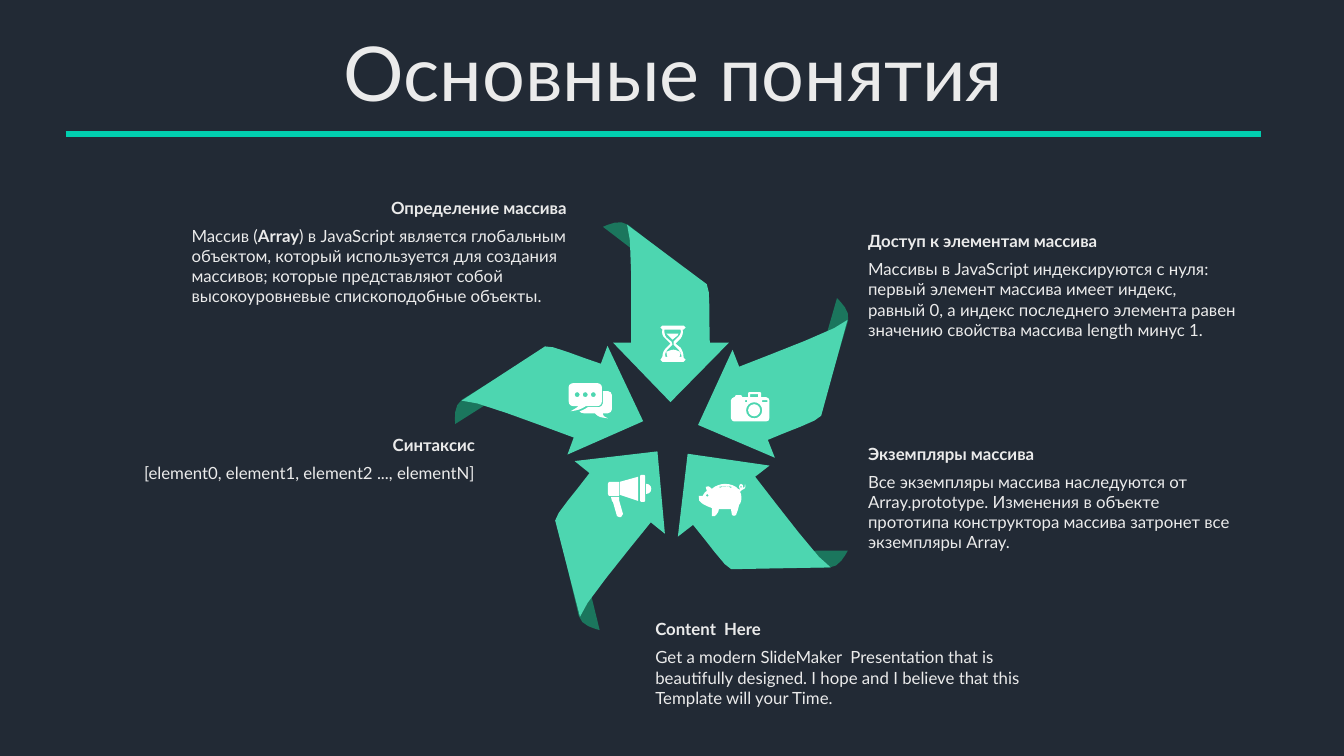
from dataclasses import dataclass
from math import ceil, dist

from lxml import etree
from pptx import Presentation
from pptx.dml.color import RGBColor
from pptx.enum.shapes import MSO_CONNECTOR
from pptx.enum.text import MSO_ANCHOR, MSO_AUTO_SIZE, PP_ALIGN
from pptx.oxml.ns import qn
from pptx.util import Pt

PX = 9144  # 100 px to the inch


@dataclass(frozen=True)
class Theme:
    font: str = "Lato"
    back: str = "222A35"
    text: str = "EBEBEB"
    rule: str = "01CEAF"
    blade: str = "4DD6B0"
    fold: str = "1B765D"
    icon: str = "FFFFFF"
    title_size: int = 54
    body_size: int = 12


T = Theme()

# Outlines in px: M move, L line, C curve, Z close, O circle (left, top, diameter)
FOLD = "M 25 2 C 17 -4 5 2 0 4 L 81 66 L 102 62 Z"
BLADE = ("M 14 0 L 93 59 C 97 63 95 97 96 117 L 115 117 L 57 176 L 0 117 L 18 117 "
         "C 18 79 19 6 14 0 Z")
CHAT = ("O 22 9 5 O 14 9 5 O 6 9 5 "
        "M 34 8 L 39 8 C 41 8 43 10 43 12 L 43 26 C 43 28 41 30 39 30 L 34 30 "
        "C 34 32 34 33 39 35 C 31 34 30 34 26 30 L 15 30 C 13 30 11 29 11 28 "
        "C 14 27 16 26 19 24 L 30 24 C 32 24 34 22 34 20 Z "
        "M 5 0 L 28 0 C 31 0 33 2 33 4 L 33 18 C 33 21 31 23 28 23 L 17 23 "
        "C 12 26 10 27 2 28 C 7 25 7 25 10 23 L 5 23 C 2 23 0 21 0 18 L 0 4 "
        "C 0 2 2 0 5 0 Z")
HOURGLASS = ("M 13 24 C 15 24 17 25 19 26 C 20 27 20 29 19 31 L 7 31 "
             "C 6 29 6 27 6 26 C 9 25 11 24 13 24 Z "
             "M 6 8 L 18 8 L 17 10 L 12 14 L 8 10 Z "
             "M 4 4 C 4 7 4 10 6 12 L 11 16 L 12 19 L 7 24 C 5 26 4 29 5 31 L 21 31 "
             "C 21 29 20 26 18 24 L 13 19 L 13 16 L 18 11 C 20 9 21 6 20 4 Z "
             "M 2 0 L 23 0 L 25 2 L 23 4 L 22 4 C 23 7 22 10 20 13 L 15 18 L 20 22 "
             "C 22 25 23 28 23 32 L 25 34 L 23 36 L 2 36 L 0 34 L 2 31 "
             "C 2 28 3 25 5 23 L 10 18 L 5 13 C 2 11 1 7 2 4 L 0 2 Z")
MEGAPHONE = ("M 11 22 L 11 25 L 15 39 L 13 42 L 11 42 L 9 41 L 5 27 L 4 26 L 3 22 Z "
             "M 38 9 C 41 9 43 11 43 14 C 43 17 41 19 38 19 Z "
             "M 1 7 L 11 7 L 11 21 L 1 21 L 0 19 L 0 9 Z "
             "M 30 2 L 30 26 L 12 20 L 12 7 Z "
             "M 33 0 L 36 0 L 37 1 L 37 26 L 36 27 L 33 27 L 32 26 L 32 1 Z")
CAMERA = ("O 17 12 12 O 15 10 16 M 14 8 L 14 10 L 16 10 L 16 8 Z "
          "M 31 8 L 31 10 L 36 10 L 36 8 Z M 19 2 L 19 5 L 27 5 L 27 2 Z "
          "M 18 0 L 29 0 L 30 1 L 30 5 L 35 5 C 37 5 38 7 38 8 L 38 26 "
          "C 38 28 37 29 35 29 L 3 29 C 2 29 0 28 0 26 L 0 8 C 0 7 2 5 3 5 "
          "L 4 5 L 4 4 L 5 3 L 10 3 L 11 4 L 11 5 L 17 5 L 17 1 Z")
PIG = ("O 7 10 3 O 41 2 2 "
       "M 26 2 L 20 3 L 21 4 C 24 2 29 2 32 4 L 33 3 Z "
       "M 26 0 C 31 0 37 2 39 5 L 41 6 L 40 3 "
       "C 40 1 41 0 42 0 C 44 0 44 2 44 3 L 44 4 C 45 4 46 4 46 0 C 47 4 46 5 43 6 "
       "L 41 8 L 42 10 C 43 15 42 19 40 21 C 39 26 38 28 37 31 "
       "C 37 32 33 32 33 31 L 32 25 L 20 25 "
       "C 20 28 18 30 16 32 L 13 32 L 13 24 C 8 22 -2 19 0 12 "
       "L 4 12 C 5 10 6 8 8 7 L 7 3 C 11 1 11 4 13 5 C 16 2 22 0 26 0 Z")

# Places inside the pinwheel box: fold left, top; blade left, top; rotation
BLADES = [(153, 0, 163, 2, 0), (326, 100, 272, 81, 68.6), (287, 301, 233, 211, 142.2),
          (77, 317, 94, 207, 218.8), (0, 129, 53, 78, 290.2)]
ICONS = [(CHAT, 119, 159), (HOURGLASS, 210, 102), (MEGAPHONE, 158, 250),
         (CAMERA, 280, 168), (PIG, 248, 259)]

# Left, top, width, body height, heading and body alignment, heading, body runs
L, R = PP_ALIGN.LEFT, PP_ALIGN.RIGHT
NOTES = [
    (861, 224, 377, 91, L, L, "Доступ к элементам массива",
     ["Массивы в JavaScript индексируются с нуля: первый элемент массива имеет индекс, "
      "равный 0, а индекс последнего элемента равен значению свойства массива length минус 1."]),
    (861, 435, 377, 91, L, L, "Экземпляры массива",
     ["Все экземпляры массива наследуются от Array.prototype. Изменения в объекте "
      "прототипа конструктора массива затронет все экземпляры Array."]),
    (190, 191, 382, 91, R, L, "Определение массива",
     ["Массив (", "Array", ") в JavaScript является глобальным объектом, который используется "
      "для создания массивов; которые представляют собой высокоуровневые спископодобные объекты."]),
    (99, 426, 382, 30, R, R, "Синтаксис", ["[element0, element1, element2 ..., elementN]"]),
    (650, 609, 377, 71, L, L, "Content  Here",
     ["Get a modern SlideMaker  Presentation that is beautifully designed. "
      "I hope and I believe that this Template will your Time."]),
]


def rgb(value):
    return RGBColor.from_string(value)


def bezier(a, b, c, d):
    """Cut a curve into at most four lines, fewer where it is short."""
    steps = min(4, ceil(dist(a, d) / 3))
    return [tuple((1 - t)**3 * a[i] + 3 * (1 - t)**2 * t * b[i] + 3 * (1 - t) * t**2 * c[i]
                  + t**3 * d[i] for i in (0, 1))
            for t in (n / steps for n in range(1, steps + 1))]


def circle(left, top, size):
    r, k = size / 2, size * 0.28
    cx, cy = left + r, top + r
    ring = [(cx + r, cy)]
    for ux, uy in ((1, 0), (0, 1), (-1, 0), (0, -1)):
        vx, vy = -uy, ux
        ring += bezier((cx + r * ux, cy + r * uy),
                       (cx + r * ux + k * vx, cy + r * uy + k * vy),
                       (cx + r * vx + k * ux, cy + r * vy + k * uy),
                       (cx + r * vx, cy + r * vy))
    return ring


def contours(outline):
    """Turn an outline into lists of points."""
    tokens = iter(outline.split())
    found = []
    for command in tokens:
        if command == "O":
            found.append(circle(*(int(next(tokens)) for _ in range(3))))
        elif command != "Z":
            count = 3 if command == "C" else 1
            pts = [(int(next(tokens)), int(next(tokens))) for _ in range(count)]
            if command == "M":
                found.append(pts)
            else:
                found[-1] += bezier(found[-1][-1], *pts) if command == "C" else pts
    return found


def add_outline(s, outline, left, top, color, rotation=0):
    builder = None
    for ring in contours(outline):
        pts = [(x * PX, y * PX) for x, y in ring]
        if builder is None:
            builder = s.shapes.build_freeform(*pts[0])
        else:
            builder.move_to(*pts[0])
        builder.add_line_segments(pts[1:], close=True)
    sp = builder.convert_to_shape(left * PX, top * PX)
    sp.rotation = rotation
    sp.shadow.inherit = False
    sp.fill.solid()
    sp.fill.fore_color.rgb = rgb(color)
    sp.line.fill.background()
    return sp


def add_run(p, text, size=T.body_size, bold=False):
    r = p.add_run()
    r.text = text
    r.font.name, r.font.size, r.font.bold = T.font, Pt(size), bold
    r.font.color.rgb = rgb(T.text)


def add_text(s, left, top, width, height, runs, align=L, anchor=MSO_ANCHOR.TOP):
    """Place a text box; runs are (text, bold) pairs."""
    sp = s.shapes.add_textbox(left * PX, top * PX, width * PX, height * PX)
    tf = sp.text_frame
    tf.word_wrap, tf.auto_size = True, MSO_AUTO_SIZE.SHAPE_TO_FIT_TEXT
    tf.vertical_anchor, tf.margin_left = anchor, 0
    p = tf.paragraphs[0]
    p.alignment = align
    for text, bold in runs:
        add_run(p, text, bold=bold)
    return sp


def add_header(s, left, top, width, height):
    sp = s.shapes.title
    sp.left, sp.top, sp.width, sp.height = (v * PX for v in (left, top, width, height))
    tf = sp.text_frame
    tf.auto_size, tf.vertical_anchor = MSO_AUTO_SIZE.NONE, MSO_ANCHOR.MIDDLE
    p = tf.paragraphs[0]
    p.alignment, p.line_spacing, p.space_before = PP_ALIGN.CENTER, 0.9, Pt(10)
    add_run(p, "Основные понятия", T.title_size)
    y = (top + height + 17) * PX
    rule = s.shapes.add_connector(MSO_CONNECTOR.STRAIGHT, (left + 30) * PX, y,
                                  (left + width - 50) * PX, y)
    rule.line.color.rgb, rule.line.width = rgb(T.rule), Pt(4.5)
    etree.SubElement(rule._element.spPr, qn("a:effectLst"))


def add_pinwheel(s, left, top):
    for fold_x, fold_y, x, y, rotation in BLADES:
        s.shapes.add_group_shape([
            add_outline(s, FOLD, left + fold_x, top + fold_y, T.fold, rotation),
            add_outline(s, BLADE, left + x, top + y, T.blade, rotation)])
    for outline, x, y in ICONS:
        add_outline(s, outline, left + x, top + y, T.icon)


def add_note(s, left, top, width, height, head_align, body_align, heading, body):
    runs = [(text, i == 1) for i, text in enumerate(body)]
    s.shapes.add_group_shape([
        add_text(s, left, top, width, 30, [(heading, True)], head_align, MSO_ANCHOR.MIDDLE),
        add_text(s, left, top + 28, width, height, runs, body_align)])


def main():
    prs = Presentation()
    prs.slide_width, prs.slide_height = 1333 * PX, 750 * PX
    s = prs.slides.add_slide(prs.slide_layouts[5])
    s.background.fill.solid()
    s.background.fill.fore_color.rgb = rgb(T.back)
    add_header(s, 35, 37, 1266, 79)
    add_pinwheel(s, 445, 221)
    for note in NOTES:
        add_note(s, *note)
    prs.save("out.pptx")


if __name__ == "__main__":
    main()
